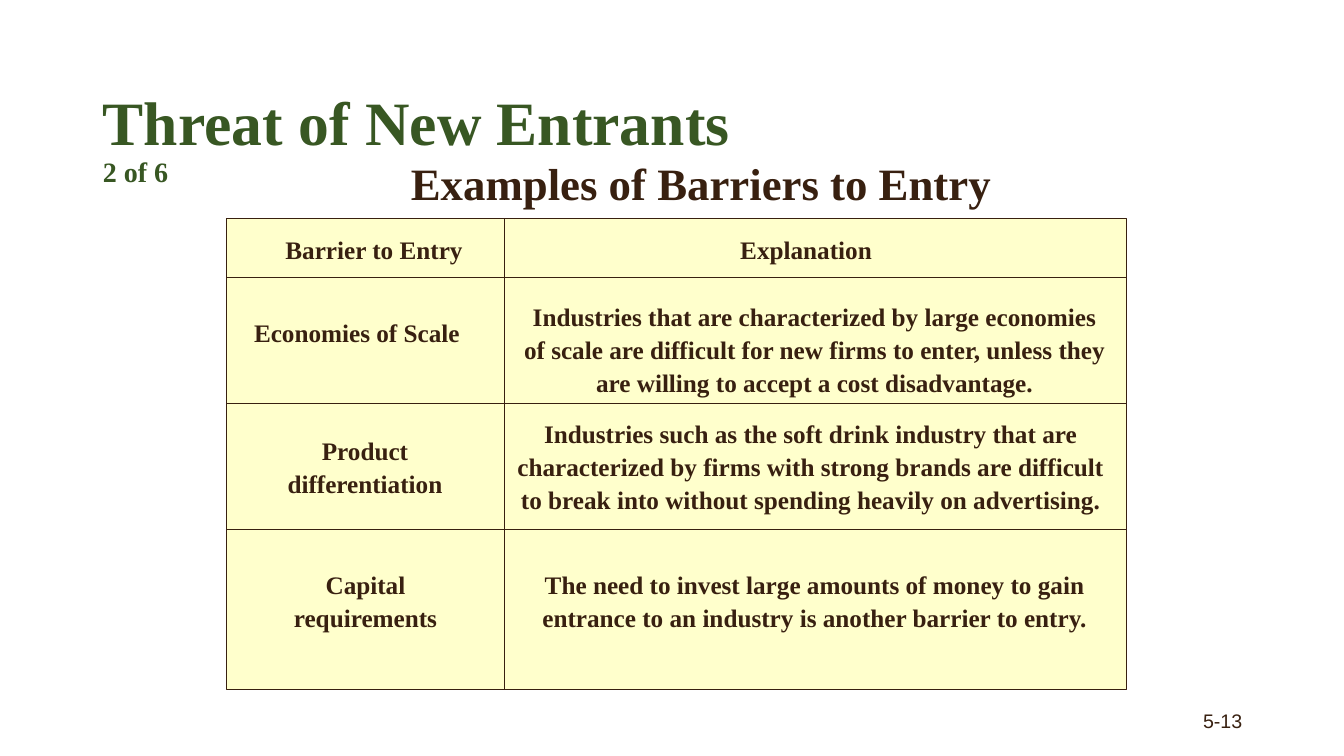
from lxml import etree
from pptx import Presentation, util as u
from pptx.dml.color import RGBColor
from pptx.enum import shapes, text
from pptx.oxml import ns

GREEN = RGBColor(0x38, 0x57, 0x23)
BROWN = RGBColor(0x38, 0x20, 0x10)
CREAM = RGBColor(0xFF, 0xFF, 0xCC)
SERIF = "Times New Roman"
SANS = "Arial"
MID = text.PP_ALIGN.CENTER
RIGHT = text.PP_ALIGN.RIGHT

LEFT, TOP, WIDE, HIGH = 2.25, 2.17, 8.92, 4.67
SPLIT = 5
RULES = [2.75, 4, 5.25]
CELLS = [
    ((2.25, 2.25, 2.92, 0.4), "Barrier to Entry"),
    ((5.33, 2.25, 5.33, 0.4), "Explanation"),
    ((2.08, 3.08, 2.92, 0.4), "Economies of Scale"),
    ((5.08, 2.92, 6, 1.01),
     "Industries that are characterized by large economies of scale are "
     "difficult for new firms to enter, unless they are willing to accept "
     "a cost disadvantage."),
    ((2.33, 4.25, 2.58, 0.71), "Product differentiation"),
    ((5, 4.08, 6.08, 1.01),
     "Industries such as the soft drink industry that are characterized by "
     "firms with strong brands are difficult to break into without spending "
     "heavily on advertising."),
    ((2.5, 5.58, 2.25, 0.71), "Capital requirements"),
    ((5.08, 5.58, 6, 0.71),
     "The need to invest large amounts of money to gain entrance to an "
     "industry is another barrier to entry."),
]


class Deck:
    def __init__(self):
        self.prs = Presentation()
        self.prs.slide_width = u.Inches(13.33)
        self.prs.slide_height = u.Inches(7.5)
        self.slide = self.prs.slides.add_slide(self.prs.slide_layouts[5])

    def run(self, para, words, size, color=BROWN, face=SERIF, bold=True):
        run = para.add_run()
        run.text = words
        font = run.font
        font.size, font.name, font.bold = u.Pt(size), face, bold
        font.color.rgb = color

    def title(self, box, head, part):
        shape = self.slide.shapes.title
        shape.left, shape.top, shape.width, shape.height = map(u.Inches, box)
        frame = shape.text_frame
        frame.word_wrap = True
        frame.auto_size = text.MSO_AUTO_SIZE.NONE
        frame.vertical_anchor = text.MSO_ANCHOR.MIDDLE
        para = frame.paragraphs[0]
        para.alignment = text.PP_ALIGN.LEFT
        para.line_spacing = 0.9
        self.run(para, head, 44, GREEN)
        para.add_line_break()
        self.run(para, part, 20, GREEN)

    def label(self, box, words, size, align=MID, pitch=1.0,
              anchor=text.MSO_ANCHOR.TOP, **style):
        shape = self.slide.shapes.add_textbox(*map(u.Inches, box))
        frame = shape.text_frame
        frame.word_wrap = True
        frame.vertical_anchor = anchor
        para = frame.paragraphs[0]
        para.alignment = align
        para.line_spacing = pitch
        self.run(para, words, size, **style)

    def pen(self, line):
        line.color.rgb = BROWN
        line.width = u.Pt(0.75)

    def panel(self, *box):
        shape = self.slide.shapes.add_shape(
            shapes.MSO_SHAPE.RECTANGLE, *map(u.Inches, box))
        shape.shadow.inherit = False
        shape.fill.solid()
        shape.fill.fore_color.rgb = CREAM
        self.pen(shape.line)

    def rule(self, *ends):
        line = self.slide.shapes.add_connector(
            shapes.MSO_CONNECTOR.STRAIGHT, *map(u.Inches, ends))
        self.pen(line.line)
        etree.SubElement(line._element.spPr, ns.qn("a:effectLst"))


def main():
    deck = Deck()
    deck.title((0.92, 0.67, 11.5, 1.45), "Threat of New Entrants", "2 of 6")
    deck.label((9.42, 6.95, 3, 0.4), "5-13", 14, RIGHT,
               anchor=text.MSO_ANCHOR.MIDDLE, face=SANS, bold=False)
    deck.panel(LEFT, TOP, WIDE, HIGH)
    for y in RULES:
        deck.rule(LEFT, y, LEFT + WIDE, y)
    deck.rule(SPLIT, TOP, SPLIT, TOP + HIGH)
    for box, words in CELLS:
        deck.label(box, words, 18, pitch=1.08)
    deck.label((3.83, 1.5, 6.25, 0.64), "Examples of Barriers to Entry", 32)
    deck.prs.save("out.pptx")


if __name__ == "__main__":
    main()
